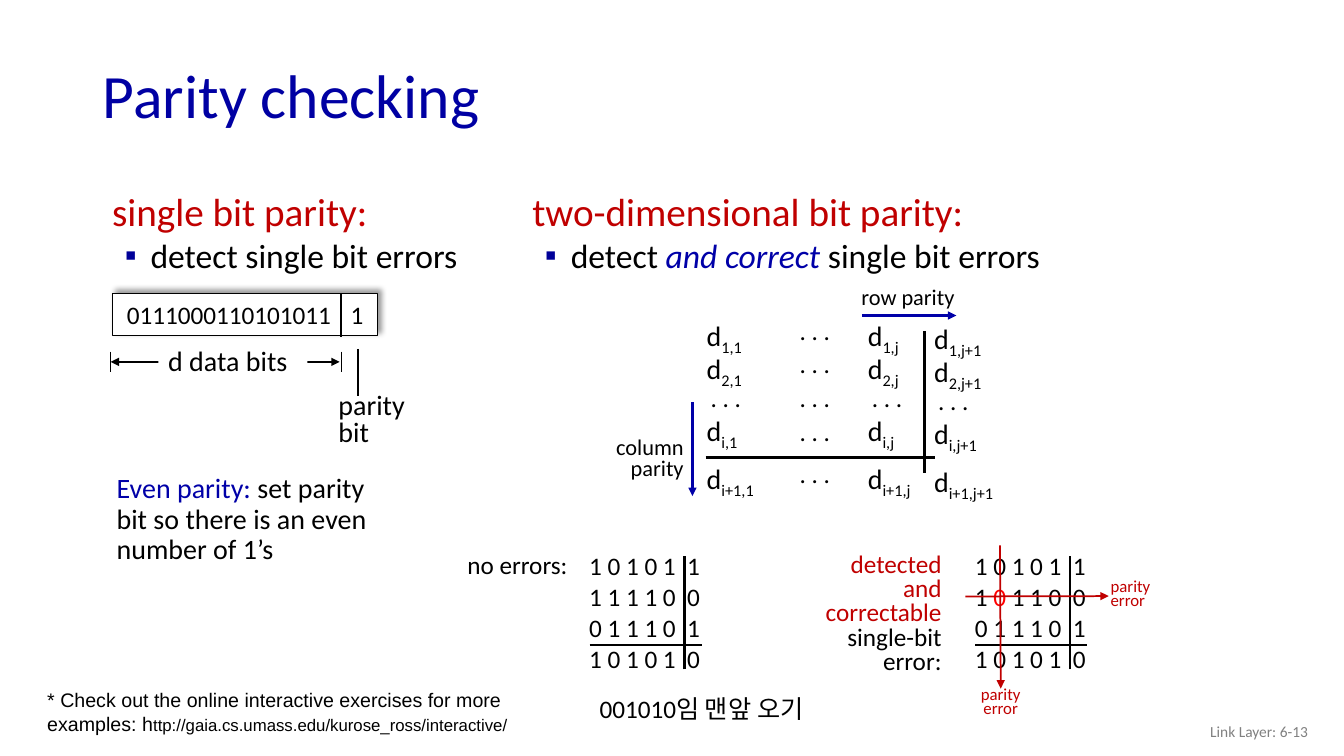
import lxml.etree
import pptx
import pptx.dml.color
import pptx.enum.shapes
import pptx.enum.text
import pptx.oxml.ns
import pptx.util

Cm = pptx.util.Cm
Pt = pptx.util.Pt
ALIGN = pptx.enum.text.PP_ALIGN
ANCHOR = pptx.enum.text.MSO_ANCHOR

BLACK = "000000"
WHITE = "FFFFFF"
BLUE = "0000A8"
TITLE_BLUE = "0000A3"
BULLET_BLUE = "000099"
RED = "C00000"
COLON_RED = "CC0000"
ERROR_RED = "FF0000"
GRAY = "808080"


def color(hex_text):
    return pptx.dml.color.RGBColor.from_string(hex_text)


def child(parent, tag, **attributes):
    element = lxml.etree.SubElement(parent, pptx.oxml.ns.qn(tag))
    for name, value in attributes.items():
        element.set(name, str(value))
    return element


class SlideBuilder:
    font_name = "Calibri"

    def __init__(self, slide):
        self.slide = slide
        self.shapes = slide.shapes

    def start_group(self):
        self.shapes = self.slide.shapes.add_group_shape().shapes

    def end_group(self):
        self.shapes = self.slide.shapes

    def place(self, shape, box):
        for name, value in zip(("left", "top", "width", "height"), box):
            setattr(shape, name, Cm(value))

    def add_run(self, paragraph, text, size, ink=BLACK, subscript=False, **font_format):
        run = paragraph.add_run()
        run.text = text
        for name, value in {"name": self.font_name, "size": Pt(size), **font_format}.items():
            setattr(run.font, name, value)
        run.font.color.rgb = color(ink)
        if subscript:
            run._r.get_or_add_rPr().set("baseline", "-25000")

    def fill_text(self, shape, lines, size, ink=BLACK, anchor=ANCHOR.TOP, tab=None,
                  **paragraph_format):
        frame = shape.text_frame
        for name, value in {
            "word_wrap": True,
            "auto_size": pptx.enum.text.MSO_AUTO_SIZE.NONE,
            "vertical_anchor": anchor,
        }.items():
            setattr(frame, name, value)
        for index, line in enumerate(lines):
            paragraph = frame.paragraphs[0] if index == 0 else frame.add_paragraph()
            if tab:
                tabs = child(paragraph._p.get_or_add_pPr(), "a:tabLst")
                child(tabs, "a:tab", pos=Cm(tab), algn="l")
            for name, value in {"alignment": ALIGN.LEFT, **paragraph_format}.items():
                setattr(paragraph, name, value)
            for part in [(line, {})] if isinstance(line, str) else line:
                text, run_format = part
                self.add_run(paragraph, text, **{"size": size, "ink": ink, **run_format})

    def text(self, box, lines, size, **style):
        shape = self.shapes.add_textbox(*map(Cm, box))
        self.fill_text(shape, lines, size, **style)

    def title(self, box, text):
        shape = self.slide.shapes.title
        self.place(shape, box)
        self.fill_text(shape, [text], 44, ink=TITLE_BLUE, anchor=ANCHOR.MIDDLE, line_spacing=0.9)

    def topic(self, placeholder_index, box, heading, item):
        shape = self.slide.placeholders[placeholder_index]
        self.place(shape, box)
        self.fill_text(shape, [heading, item], 24, space_before=Pt(0))
        indents = ((0.66, -0.66), (0.97, -0.65))
        for paragraph, (margin, indent) in zip(shape.text_frame.paragraphs, indents):
            properties = paragraph._p.get_or_add_pPr()
            properties.set("marL", str(Cm(margin)))
            properties.set("indent", str(Cm(indent)))
        child(shape.text_frame.paragraphs[0]._p.pPr, "a:buNone")
        bullet_color = child(properties, "a:buClr")
        child(bullet_color, "a:srgbClr", val=BULLET_BLUE)
        child(properties, "a:buFont", typeface="Arial")
        child(properties, "a:buChar", char="▪")

    def rectangle(self, box, lines=(), size=20, border=None):
        shape = self.shapes.add_shape(pptx.enum.shapes.MSO_SHAPE.RECTANGLE, *map(Cm, box))
        shape.shadow.inherit = False
        shape.fill.solid()
        shape.fill.fore_color.rgb = color(WHITE)
        if border:
            shape.line.color.rgb = color(border)
            shape.line.width = Pt(1)
        else:
            shape.line.fill.background()
        self.fill_text(shape, lines, size, line_spacing=0.8)
        return shape

    def cast_shadow(self, shape):
        effects = shape._element.spPr.find(pptx.oxml.ns.qn("a:effectLst"))
        shadow = child(effects, "a:outerShdw", blurRad=Pt(4), dist=Pt(3), dir=315 * 60000)
        child(child(shadow, "a:srgbClr", val=BLACK), "a:alpha", val=40000)

    def line(self, start, end, width, ink=BLACK, head=False, tail=False):
        connector = self.shapes.add_connector(
            pptx.enum.shapes.MSO_CONNECTOR.STRAIGHT, *map(Cm, start + end))
        connector.line.color.rgb = color(ink)
        connector.line.width = Pt(width)
        outline = connector.line._get_or_add_ln()
        for tag, wanted in (("a:headEnd", head), ("a:tailEnd", tail)):
            if wanted:
                child(outline, tag, type="triangle")
        child(connector._element.spPr, "a:effectLst")

    def bit_block(self, left, rows):
        top, pitch = 13.74, 0.78
        for index, row in enumerate(rows):
            self.text((left, top + index * pitch, 3.6, 1.02), [row], 18, tab=2.47)
        self.line((left + 0.26, 16.26), (left + 3.08, 16.26), 1.5)
        self.line((left + 2.65, 16.87), (left + 2.65, 14.02), 1.5)


def draw_single_parity(builder):
    builder.cast_shadow(builder.rectangle((2.84, 7.39, 6.68, 1.07), border=BLACK))
    builder.text((2.95, 7.42, 5.9, 1.02), ["0111000110101011"], 18)
    builder.line((2.79, 9.12), (8.56, 9.12), 1.75, head=True, tail=True)
    for tick_left in (2.79, 8.59):
        builder.line((tick_left, 8.86), (tick_left, 9.37), 0.5)
    builder.start_group()
    builder.text((8.59, 7.42, 1, 1.02), ["1"], 18)
    builder.rectangle((8.28, 9.8, 3.76, 1.65), ["parity", "bit"])
    builder.line((9.02, 8.79), (9.02, 9.98), 1)
    builder.end_group()
    builder.line((8.59, 7.42), (8.59, 8.48), 1)
    builder.rectangle((3.99, 8.69, 3.76, 0.97), ["d data bits"])
    builder.text((2.69, 11.84, 7.59, 2.57), [[
        ("Even parity: ", {"ink": BLUE}),
        ("set parity bit so there is an even number of 1’s", {}),
    ]], 20, line_spacing=0.9)


def draw_matrix(builder):
    columns = [("1", 17.56, 0), (None, 19.9, 0), ("j", 21.62, 0), ("j+1", 23.29, 0.08)]
    rows = [("1", 7.9, 7.82), ("2", 8.74, 8.66), (None, 9.5, 9.5),
            ("i", 10.29, 10.36), ("i+1", 11.51, 11.43)]
    builder.start_group()
    for column, left, drop in columns:
        for row, top, dots_top in rows:
            if column is None:
                builder.text((left, dots_top, 1.75, 1.02), [". . ."], 18)
            elif row is None:
                builder.text((left + 0.1, top + drop, 1.75, 1.02), [". . ."], 18)
            else:
                entry = [("d", {}), (f"{row},{column}", {"subscript": True})]
                builder.text((left, top + drop, 2.3, 1.12), [entry], 20)
    builder.line((17.78, 11.53), (23.57, 11.53), 2)
    builder.line((23.29, 11.91), (23.29, 8.33), 2)
    builder.text((21.46, 7.01, 3.1, 0.94), ["row parity"], 16)
    builder.text((15.1, 10.92, 2.38, 1.37), ["column", "parity"], 16,
                 alignment=ALIGN.RIGHT, line_spacing=0.8)
    builder.line((21.72, 7.95), (24.1, 7.95), 1.75, BLUE, tail=True)
    builder.line((17.45, 10.13), (17.45, 12.5), 1.75, BLUE, tail=True)
    builder.end_group()


def draw_examples(builder):
    first, second, third, check = "1 0 1 0 1\t1", "1 1 1 1 0\t0", "0 1 1 1 0\t1", "1 0 1 0 1\t0"
    flipped = [("1 ", {}), ("0", {"ink": ERROR_RED}), (" 1 1 0\t0", {})]
    builder.start_group()
    builder.bit_block(14.6, [first, second, third, check])
    builder.text((11.53, 13.72, 3.2, 1.02), ["no errors:"], 18)
    builder.start_group()
    builder.bit_block(24.32, [first, flipped, third, check])
    for box, alignment in (((24.22, 17.25, 2, 0.99), ALIGN.CENTER),
                           ((27.74, 14.53, 2, 0.99), ALIGN.LEFT)):
        builder.text(box, ["parity", "error"], 12, ink=RED, alignment=alignment, line_spacing=0.7)
    builder.line((24.33, 15.03), (27.94, 15.02), 1.25, RED, tail=True)
    builder.line((25.2, 13.74), (25.22, 17.35), 1.25, RED, tail=True)
    red_lines = [[(word, {"ink": RED})] for word in ("detected", "and", "correctable")]
    builder.text((20.07, 13.84, 3.91, 3.35), red_lines + ["single-bit", "error:"], 18,
                 alignment=ALIGN.RIGHT, line_spacing=0.8)
    builder.end_group()


def main():
    presentation = pptx.Presentation()
    presentation.slide_width = Cm(33.87)
    presentation.slide_height = Cm(19.05)
    builder = SlideBuilder(presentation.slides.add_slide(presentation.slide_layouts[3]))
    builder.title((2.34, 1.24, 29.21, 2.49), "Parity checking")
    heading = {"size": 28, "ink": RED}
    builder.topic(1, (2.57, 4.6, 9.5, 2.49),
                  [("single bit parity", heading), (":", {"size": 28, "ink": COLON_RED})],
                  "detect single bit errors")
    builder.topic(2, (13.16, 4.6, 14, 2.49),
                  [("two-dimensional bit parity:", heading)],
                  [("detect ", {}), ("and correct ", {"ink": BLUE, "italic": True}),
                   ("single bit errors", {})])
    builder.text((25.6, 17.91, 7.62, 1.02), ["Link Layer: 6-13"], 11, ink=GRAY,
                 anchor=ANCHOR.MIDDLE, alignment=ALIGN.RIGHT)
    draw_single_parity(builder)
    draw_matrix(builder)
    draw_examples(builder)
    builder.text((0.94, 17.22, 12.52, 1.45), [[
        ("* Check out the online interactive exercises for more examples: h", {"name": "Arial"}),
        ("ttp://gaia.cs.umass.edu/kurose_ross/interactive/", {"name": "Arial", "size": 12}),
    ]], 14)
    builder.text((14.86, 17.35, 6.2, 1.02), ["001010임 맨앞 오기"], 18)
    presentation.save("out.pptx")


if __name__ == "__main__":
    main()
